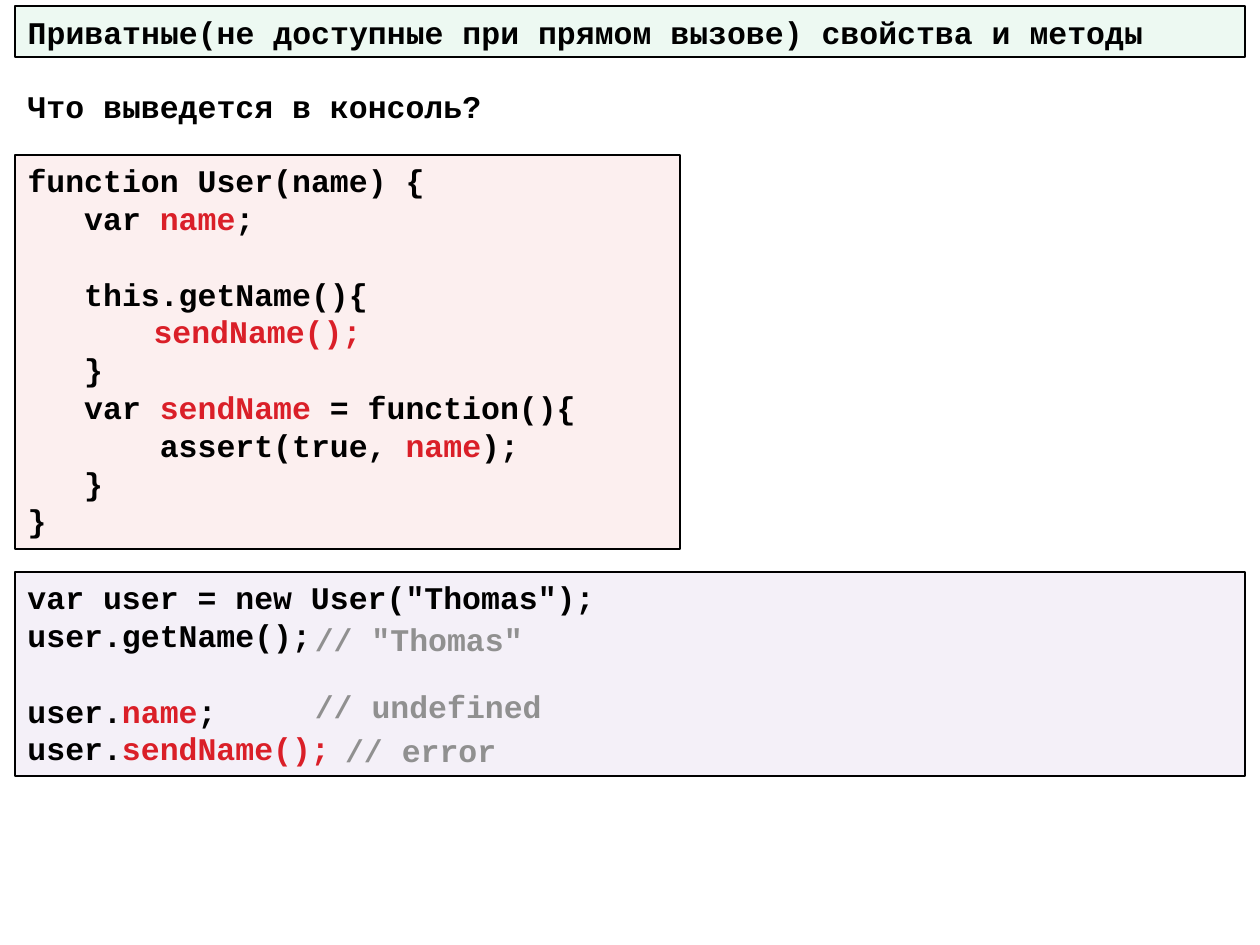
from lxml import etree
from pptx import Presentation
from pptx.dml.color import RGBColor
from pptx.enum import shapes, text
from pptx.oxml import ns
from pptx.util import Pt

BLACK, RED, GREY = "000000", "DA1F28", "909090"
GREEN, PURPLE = "00B050", "7030A0"
FONT = {"name": "Courier New", "size": Pt(18), "bold": True}
LINE_HEIGHT = 21.6
CHAR_WIDTH = 10.8
LEFT, FULL_WIDTH = 8.64, 702.72

# Each code line: indent in points, empty lines above, text with *red* parts
INDENT, DEEP_INDENT, TAB = 3 * CHAR_WIDTH, 7 * CHAR_WIDTH, 72
CONSTRUCTOR = [
    (0, 0, "function User(name) {"),
    (INDENT, 0, "var *name*;"),
    (INDENT, 1, "this.getName(){"),
    (TAB, 0, "*sendName();*"),
    (INDENT, 0, "}"),
    (INDENT, 0, "var *sendName* = function(){"),
    (DEEP_INDENT, 0, "assert(true, *name*);"),
    (INDENT, 0, "}"),
    (0, 0, "}"),
]
USAGE = [
    (0, 0, 'var user = new User("Thomas");'),
    (0, 0, "user.getName();"),
    (0, 1, "user.*name*;"),
    (0, 0, "user.*sendName();*"),
]
# Offsets and widths inside the usage panel
COMMENTS = [
    (164.16, 23.76, 133.92, '// "Thomas"'),
    (164.16, 61.92, 144.72, "// undefined"),
    (181.44, 87.12, 101.52, "// error"),
]


def rgb(value):
    """Turn a hex string into a colour."""
    return RGBColor.from_string(value)


def apply(target, values):
    """Set every attribute named in a dict."""
    for key, value in values.items():
        setattr(target, key, value)


def place(shape, box):
    """Move a shape to a box given in points."""
    apply(shape, dict(zip(("left", "top", "width", "height"), map(Pt, box))))


def tint(shape, color):
    """Give a shape a 7 % tint and a thin black outline."""
    shape.fill.solid()
    shape.fill.fore_color.rgb = rgb(color)
    clr = shape._element.spPr.find(ns.qn("a:solidFill"))[0]
    etree.SubElement(clr, ns.qn("a:alpha")).set("val", "7000")
    shape.line.color.rgb = rgb(BLACK)
    shape.line.width = Pt(1)


def write(shape, lines, color=BLACK, wrap=True):
    """Write indented lines, with the parts between asterisks in red."""
    frame = shape.text_frame
    apply(frame, {"word_wrap": wrap, "auto_size": text.MSO_AUTO_SIZE.NONE,
                  "vertical_anchor": text.MSO_ANCHOR.TOP})
    for number, (indent, gap, line) in enumerate(lines):
        para = frame.add_paragraph() if number else frame.paragraphs[0]
        apply(para, {"alignment": text.PP_ALIGN.LEFT,
                     "line_spacing": Pt(LINE_HEIGHT),
                     "space_before": Pt(gap * LINE_HEIGHT)})
        properties = para._p.get_or_add_pPr()
        properties.set("marL", str(int(Pt(indent))))
        properties.set("indent", "0")
        for part, words in enumerate(line.split("*")):
            if words:
                run = para.add_run()
                run.text = words
                apply(run.font, FONT)
                run.font.color.rgb = rgb(RED if part % 2 else color)


def add_heading(slide, box, words):
    """Format the title as a tinted bar."""
    heading = slide.shapes.title
    place(heading, box)
    tint(heading, GREEN)
    write(heading, [(0, 0, words)])


def add_label(slide, box, words, color=BLACK):
    """Add one unwrapped line of text."""
    label = slide.shapes.add_textbox(*map(Pt, box))
    write(label, [(0, 0, words)], color, wrap=False)


def add_code(slide, box, lines, color, comments=()):
    """Add a tinted code panel and its grey comments."""
    panel = slide.shapes.add_shape(shapes.MSO_SHAPE.RECTANGLE, *map(Pt, box))
    panel.shadow.inherit = False
    tint(panel, color)
    write(panel, lines)
    for dx, dy, width, words in comments:
        add_label(slide, (box[0] + dx, box[1] + dy, width, 28.8), words, GREY)


def build():
    """Build and save the slide."""
    deck = Presentation()
    apply(deck, {"slide_width": Pt(720), "slide_height": Pt(540)})
    slide = deck.slides.add_slide(deck.slide_layouts.get_by_name("Title Only"))
    add_heading(slide, (LEFT, 3.6, FULL_WIDTH, 28.8),
                "Приватные(не доступные при прямом вызове) свойства и методы")
    add_label(slide, (LEFT, 46.08, 275.04, 28.8), "Что выведется в консоль?")
    add_code(slide, (LEFT, 88.56, 380.16, 225.36), CONSTRUCTOR, RED)
    add_code(slide, (LEFT, 326.88, FULL_WIDTH, 116.64), USAGE, PURPLE, COMMENTS)
    deck.save("out.pptx")


build()
